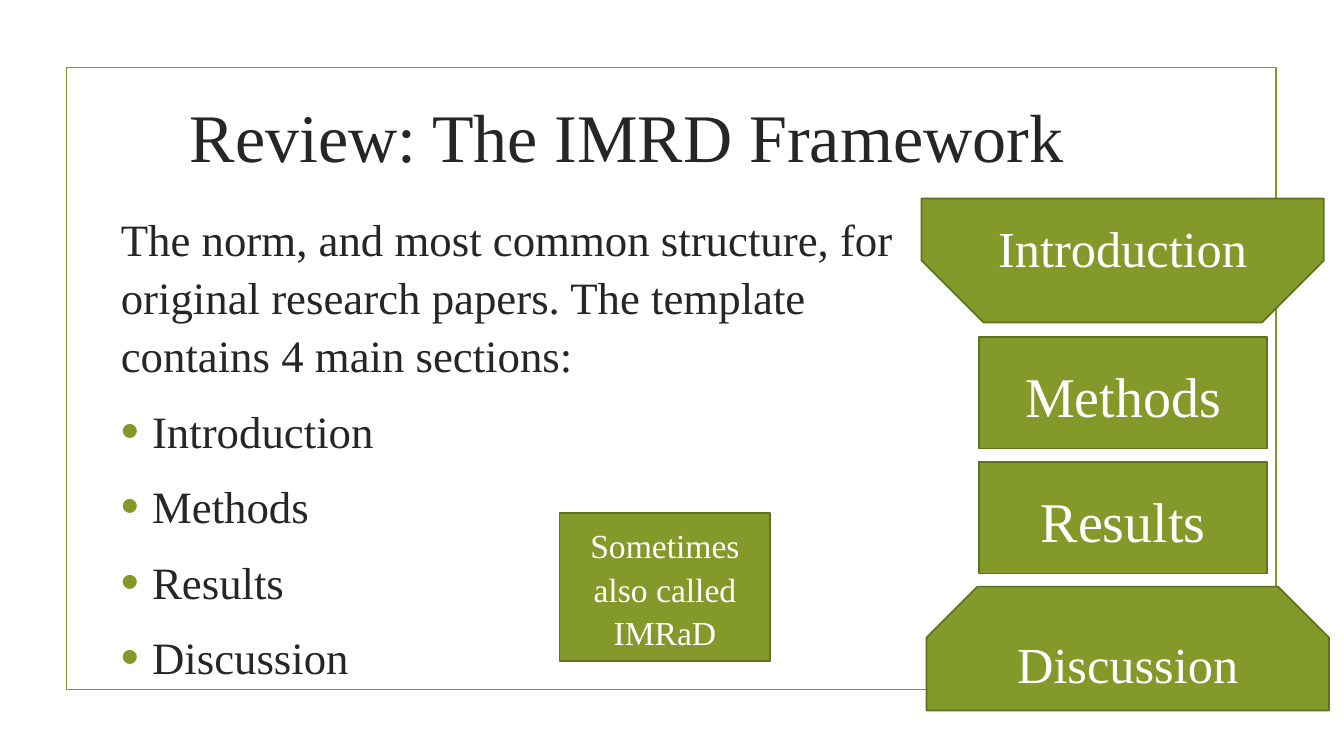
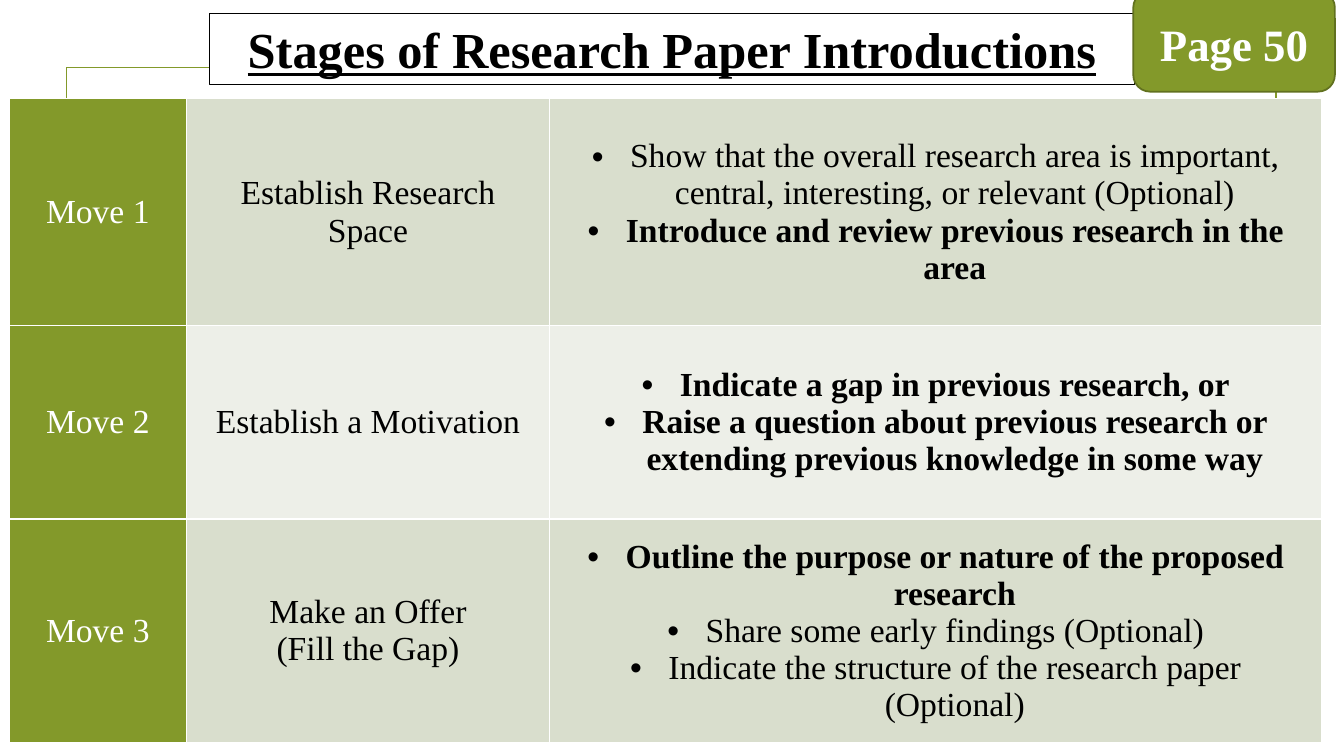
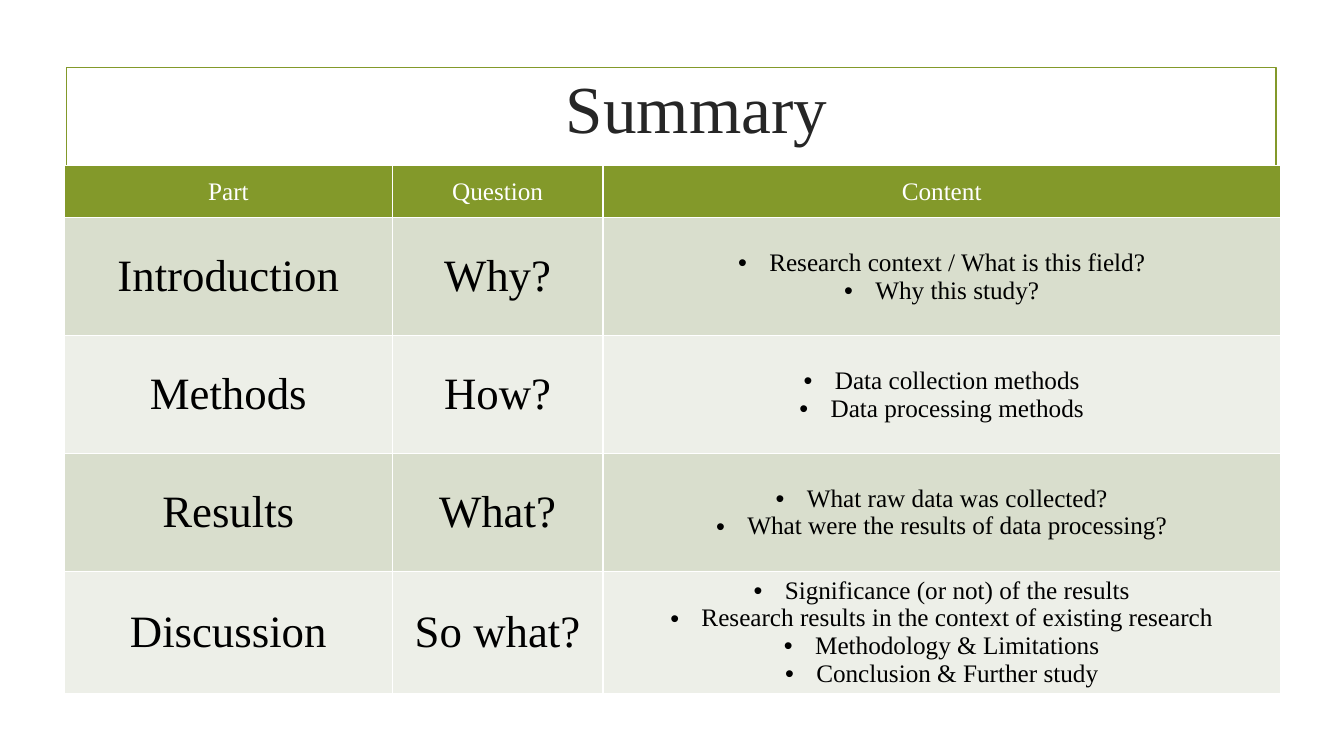
"""Build three slides reviewing the IMRD framework for research papers."""
from dataclasses import dataclass

from lxml import etree
from pptx import Presentation
from pptx import util as u
from pptx.dml.color import RGBColor
from pptx.enum import shapes, text
from pptx.oxml.ns import qn

PX = 9144


@dataclass(frozen=True)
class Theme:
    font: str = "Times New Roman"
    green: str = "83992A"
    dark_green: str = "61711F"
    ink: str = "262626"
    black: str = "000000"
    white: str = "FFFFFF"
    bands: tuple = ("D9DECD", "EDEFE8")
    outline: float = 1.25
    hairline: float = 0.75
    cell_border: int = 1
    body_spacing: float = 1.08
    review_title: float = 48.6
    summary_title: int = 48
    banner: int = 36
    large: int = 40
    section: int = 36
    body: int = 32
    note: int = 24
    small: int = 18


THEME = Theme()
RECTANGLE = shapes.MSO_SHAPE.RECTANGLE
SNIPPED = shapes.MSO_SHAPE.SNIP_2_SAME_RECTANGLE
ROUNDED = shapes.MSO_SHAPE.ROUNDED_RECTANGLE
FRAME = (66, 67, 1200, 617)

REVIEW_INTRO = ("The norm, and most common structure, for original research papers. "
                "The template contains 4 main sections:")
SECTIONS = ["Introduction", "Methods", "Results", "Discussion"]
REVIEW_BOXES = [
    ("Introduction", SNIPPED, (914, 197, 399, 123), THEME.section, (0, 0.5)),
    ("Methods", RECTANGLE, (971, 334, 286, 111), THEME.large, ()),
    ("Results", RECTANGLE, (971, 458, 286, 111), THEME.large, ()),
    ("Discussion", SNIPPED, (919, 582, 399, 123), THEME.section, (0.41, 0)),
    ("Sometimes also called IMRaD", RECTANGLE, (555, 509, 209, 147), THEME.note, ()),
]

MOVES = [
    ("Move 1", "Establish Research Space", [
        ("Show that the overall research area is important, central, interesting, "
         "or relevant (Optional)", False),
        ("Introduce and review previous research in the area", True)]),
    ("Move 2", "Establish a Motivation", [
        ("Indicate a gap in previous research, or", True),
        ("Raise a question about previous research or extending previous knowledge "
         "in some way", True)]),
    ("Move 3", "Make an Offer\n(Fill the Gap)", [
        ("Outline the purpose or nature of the proposed research", True),
        ("Share some early findings (Optional)", False),
        ("Indicate the structure of the research paper (Optional)", False)]),
]

SUMMARY_HEADER = ("Part", "Question", "Content")
SUMMARY = [
    ("Why?", ["Research context / What is this field?", "Why this study?"]),
    ("How?", ["Data collection methods", "Data processing methods"]),
    ("What?", ["What raw data was collected?",
               "What were the results of data processing?"]),
    ("So what?", ["Significance (or not) of the results",
                  "Research results in the context of existing research",
                  "Methodology & Limitations", "Conclusion & Further study"]),
]


def emu(*lengths):
    return [u.Emu(length * PX) for length in lengths]


def rgb(color):
    return RGBColor.from_string(color)


def write(paragraph, words, size, color, bold=False, underline=False,
          align=text.PP_ALIGN.CENTER):
    paragraph.text = words
    paragraph.alignment = align
    for run in paragraph.runs:
        run.font.name = THEME.font
        run.font.size = u.Pt(size)
        run.font.bold = bold
        run.font.underline = underline
        run.font.color.rgb = rgb(color)


def add_bullet(paragraph, indent, color=None, percent=100):
    properties = paragraph._p.get_or_add_pPr()
    properties.set("marL", str(indent * PX))
    properties.set("indent", str(-indent * PX))
    if color:
        holder = etree.SubElement(properties, qn("a:buClr"))
        etree.SubElement(holder, qn("a:srgbClr"), val=color)
    etree.SubElement(properties, qn("a:buSzPct"), val=str(percent * 1000))
    etree.SubElement(properties, qn("a:buFont"), typeface="Arial")
    etree.SubElement(properties, qn("a:buChar"), char="•")


def paint(shape, fill, line, width):
    if fill:
        shape.fill.solid()
        shape.fill.fore_color.rgb = rgb(fill)
    else:
        shape.fill.background()
    shape.line.color.rgb = rgb(line)
    shape.line.width = u.Pt(width)


def add_box(slide, words, kind, box, size, adjustments=(), bold=False):
    shape = slide.shapes.add_shape(kind, *emu(*box))
    shape.shadow.inherit = False
    paint(shape, THEME.green, THEME.dark_green, THEME.outline)
    for index, value in enumerate(adjustments):
        shape.adjustments[index] = value
    frame = shape.text_frame
    frame.word_wrap = True
    frame.vertical_anchor = text.MSO_ANCHOR.MIDDLE
    paragraph = frame.paragraphs[0]
    write(paragraph, words, size, THEME.white, bold)
    paragraph.line_spacing = THEME.body_spacing


def set_title(slide, words, box, size, color=THEME.ink, anchor=text.MSO_ANCHOR.MIDDLE,
              emphasis=False):
    title = slide.shapes.title
    title.left, title.top, title.width, title.height = emu(*box)
    frame = title.text_frame
    frame.auto_size = text.MSO_AUTO_SIZE.NONE
    frame.word_wrap = True
    frame.vertical_anchor = anchor
    write(frame.paragraphs[0], words, size, color, emphasis, emphasis)
    return title


def add_layout_frame(slide, layout):
    outline = slide.shapes.add_shape(RECTANGLE, *emu(*FRAME))
    outline.shadow.inherit = False
    paint(outline, None, THEME.green, THEME.outline)
    layout.shapes.element.append(outline.element)


def border_cell(cell):
    properties = cell._tc.get_or_add_tcPr()
    for index, side in enumerate(("a:lnL", "a:lnR", "a:lnT", "a:lnB")):
        line = etree.Element(qn(side), w=str(u.Pt(THEME.cell_border)))
        fill = etree.SubElement(line, qn("a:solidFill"))
        etree.SubElement(fill, qn("a:srgbClr"), val=THEME.white)
        properties.insert(index, line)


def fill_cell(cell, items, fill, size, color, indent):
    cell.fill.solid()
    cell.fill.fore_color.rgb = rgb(fill)
    cell.vertical_anchor = text.MSO_ANCHOR.MIDDLE
    border_cell(cell)
    bulleted = isinstance(items, list)
    for index, (words, bold) in enumerate(items if bulleted else [(items, False)]):
        frame = cell.text_frame
        paragraph = frame.add_paragraph() if index else frame.paragraphs[0]
        write(paragraph, words, size, color, bold)
        if bulleted:
            add_bullet(paragraph, indent)


def add_grid(slide, corner, widths, heights, rows, sizes, indent, header=False):
    box = (*corner, sum(widths), sum(heights))
    table = slide.shapes.add_table(len(rows), len(widths), *emu(*box)).table
    table.first_row = table.horz_banding = False
    for column, width in zip(table.columns, emu(*widths)):
        column.width = width
    for row, height in zip(table.rows, emu(*heights)):
        row.height = height
    for r, row in enumerate(rows):
        for c, items in enumerate(row):
            strong = r == 0 if header else c == 0
            fill = THEME.green if strong else THEME.bands[(r - header) % 2]
            color = THEME.white if strong else THEME.black
            size = THEME.small if header and strong else sizes[c]
            fill_cell(table.cell(r, c), items, fill, size, color, indent)


def build_review(slide):
    set_title(slide, "Review: The IMRD Framework", (123, 63, 997, 143),
              THEME.review_title)
    frame = slide.shapes.add_textbox(*emu(110, 201, 791, 482)).text_frame
    frame.word_wrap = True
    for index, words in enumerate([REVIEW_INTRO, *SECTIONS]):
        paragraph = frame.add_paragraph() if index else frame.paragraphs[0]
        write(paragraph, words, THEME.body, THEME.ink, align=text.PP_ALIGN.LEFT)
        paragraph.line_spacing = THEME.body_spacing
        paragraph.space_after = u.Pt(6)
        if index:
            paragraph.space_before = u.Pt(THEME.body * 0.2)
            add_bullet(paragraph, 31, THEME.green, 115)
    for box in REVIEW_BOXES:
        add_box(slide, *box)


def build_stages(slide):
    title = set_title(slide, "Stages of Research Paper Introductions",
                      (208, 13, 917, 71), THEME.banner, THEME.black,
                      text.MSO_ANCHOR.TOP, True)
    paint(title, THEME.white, THEME.black, THEME.hairline)
    add_grid(slide, (9, 98), (176, 360, 766), (225, 192, 222), MOVES,
             [THEME.note] * 3, 38)
    add_box(slide, "Page 50", ROUNDED, (1124, -9, 200, 100), THEME.body, bold=True)


def build_summary(slide):
    set_title(slide, "Summary", (166, 64, 1050, 83), THEME.summary_title)
    rows = [SUMMARY_HEADER]
    for section, (question, points) in zip(SECTIONS, SUMMARY):
        rows.append((section, question, [(point, False) for point in points]))
    add_grid(slide, (64, 164), (325, 209, 672), [52] + [117] * len(SUMMARY), rows,
             (THEME.body, THEME.body, THEME.small), 31, header=True)


def main():
    presentation = Presentation()
    presentation.slide_width, presentation.slide_height = emu(1333, 750)
    layout = presentation.slide_layouts[5]
    slides = [presentation.slides.add_slide(layout) for _ in range(3)]
    add_layout_frame(slides[0], layout)
    for build, slide in zip((build_review, build_stages, build_summary), slides):
        build(slide)
    presentation.save("out.pptx")


if __name__ == "__main__":
    main()
